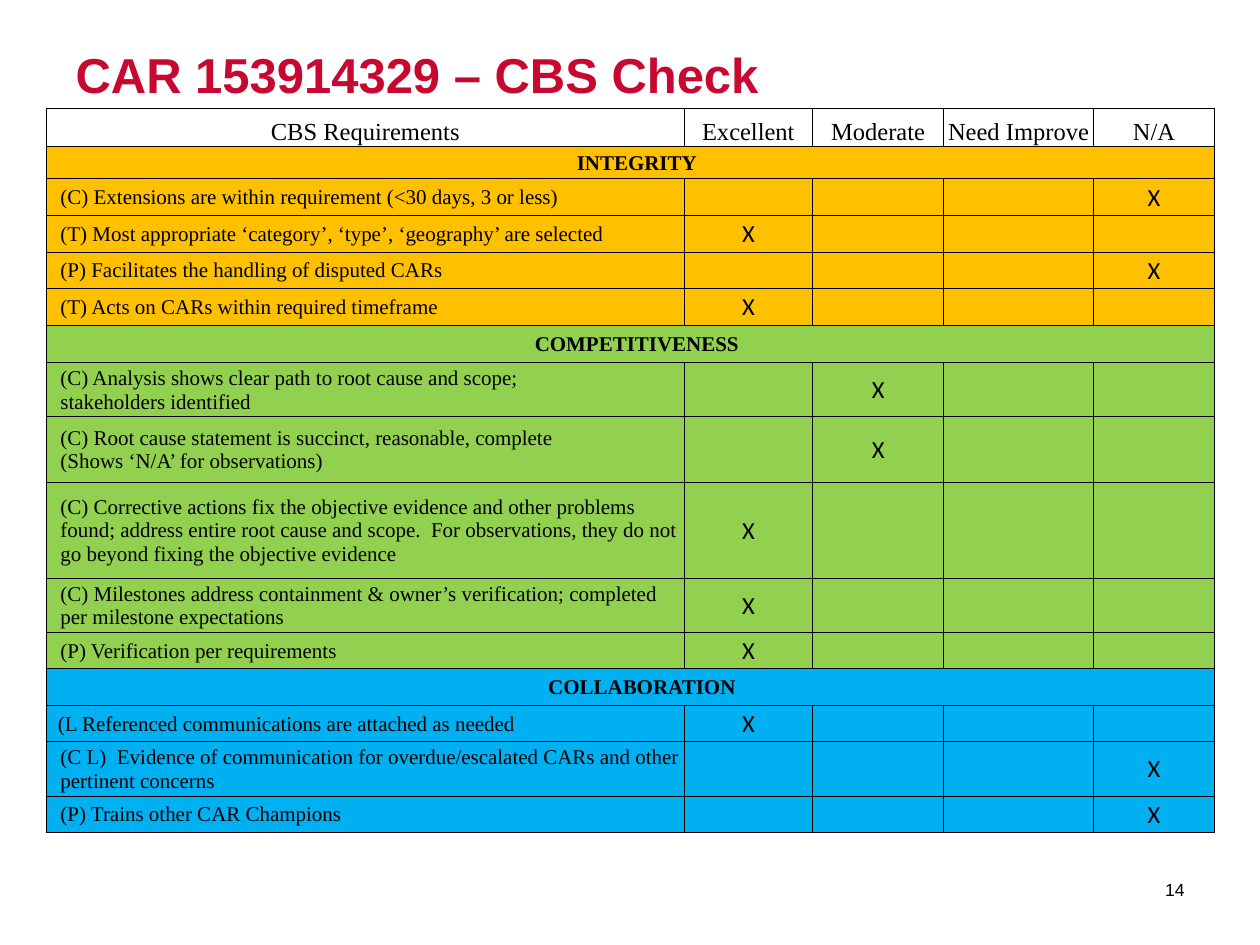
from dataclasses import dataclass

from lxml import etree
from pptx import Presentation
from pptx.dml.color import RGBColor
from pptx.enum.text import MSO_ANCHOR, MSO_AUTO_SIZE, PP_ALIGN
from pptx.oxml.ns import qn
from pptx.util import Inches, Pt

LEFT, CENTER, RIGHT = PP_ALIGN.LEFT, PP_ALIGN.CENTER, PP_ALIGN.RIGHT
TOP, MIDDLE, BOTTOM = MSO_ANCHOR.TOP, MSO_ANCHOR.MIDDLE, MSO_ANCHOR.BOTTOM
NO_FIT = MSO_AUTO_SIZE.NONE
TITLE_ONLY = 5


@dataclass(frozen=True)
class Theme:
    title: str = "C70932"
    ink: str = "000000"
    integrity: str = "FFC000"
    competitiveness: str = "92D050"
    collaboration: str = "00B0F0"
    sans: str = "Arial"
    serif: str = "Times New Roman"
    mark: str = "Calibri"
    title_size: int = 28
    heading_size: int = 14
    body_size: int = 12
    number_size: int = 10
    outer_line: float = 1
    inner_line: float = 0.5


THEME = Theme()
RATINGS = ["Excellent", "Moderate", "Need Improve", "N/A"]
COLUMN_WIDTHS = [5.06, 1.02, 1.04, 1.19, 0.96]
HEADER_HEIGHT, SINGLE_LINE = 0.3, 0.29
CELL_MARGIN, INDENT = 0.01, 0.1

# Each requirement: wording, rating, row height
SECTIONS = [
    ("INTEGRITY", THEME.integrity, 0.26, [
        ("(C) Extensions are within requirement (<30 days, 3 or less)", "N/A", SINGLE_LINE),
        ("(T) Most appropriate ‘category’, ‘type’, ‘geography’ are selected", "Excellent", SINGLE_LINE),
        ("(P) Facilitates the handling of disputed CARs", "N/A", SINGLE_LINE),
        ("(T) Acts on CARs within required timeframe", "Excellent", SINGLE_LINE),
    ]),
    ("COMPETITIVENESS", THEME.competitiveness, 0.3, [
        ("(C) Analysis shows clear path to root cause and scope;\nstakeholders identified",
         "Moderate", 0.43),
        ("(C) Root cause statement is succinct, reasonable, complete\n(Shows ‘N/A’ for observations)",
         "Moderate", 0.52),
        ("(C) Corrective actions fix the objective evidence and other problems found; "
         "address entire root cause and scope.  For observations, they do not go beyond "
         "fixing the objective evidence", "Excellent", 0.76),
        ("(C) Milestones address containment & owner’s verification; completed per "
         "milestone expectations", "Excellent", 0.43),
        ("(P) Verification per requirements", "Excellent", SINGLE_LINE),
    ]),
    ("COLLABORATION", THEME.collaboration, SINGLE_LINE, [
        ("(L Referenced communications are attached as needed", "Excellent", SINGLE_LINE),
        ("(C L)  Evidence of communication for overdue/escalated CARs and other pertinent concerns",
         "N/A", 0.43),
        ("(P) Trains other CAR Champions", "N/A", SINGLE_LINE),
    ]),
]


def write(frame, text, font, size, color=THEME.ink, bold=False, align=LEFT, indent=0):
    for number, line in enumerate(text.split("\n")):
        paragraph = frame.add_paragraph() if number else frame.paragraphs[0]
        paragraph.alignment = align
        if indent:
            properties = paragraph._p.get_or_add_pPr()
            properties.set("marL", str(Inches(indent)))
            properties.set("indent", "0")
        run = paragraph.add_run()
        run.text = line
        run.font.name, run.font.size, run.font.bold = font, Pt(size), bold
        run.font.color.rgb = RGBColor.from_string(color)


def add_border(cell, side, width):
    line = etree.SubElement(cell._tc.get_or_add_tcPr(), qn(f"a:ln{side}"), w=str(Pt(width)))
    fill = etree.SubElement(line, qn("a:solidFill"))
    etree.SubElement(fill, qn("a:srgbClr"), val=THEME.ink)


deck = Presentation()
deck.slide_width, deck.slide_height = Inches(10), Inches(7.5)
slide = deck.slides.add_slide(deck.slide_layouts[TITLE_ONLY])

title = slide.shapes.title
title.left, title.top, title.width, title.height = map(Inches, (0.5, 0.3, 9, 1.25))
title.text_frame.auto_size = NO_FIT
title.text_frame.vertical_anchor = TOP
write(title.text_frame, "CAR 153914329 – CBS Check", THEME.sans, THEME.title_size,
      THEME.title, bold=True)

page_number = slide.shapes.add_textbox(*map(Inches, (8.8, 6.86, 0.7, 0.4))).text_frame
page_number.word_wrap = True
page_number.vertical_anchor = MIDDLE
write(page_number, "14", THEME.sans, THEME.number_size, align=RIGHT)

# Flatten the sections into rows: wording, rating, height, fill
rows = [("CBS Requirements", None, HEADER_HEIGHT, None)]
section_rows = set()
for name, color, height, requirements in SECTIONS:
    section_rows.add(len(rows))
    rows.append((name, None, height, color))
    rows += [(*requirement, color) for requirement in requirements]

last_row, last_column = len(rows) - 1, len(RATINGS)
table = slide.shapes.add_table(
    len(rows), len(COLUMN_WIDTHS), Inches(0.37), Inches(0.86),
    Inches(sum(COLUMN_WIDTHS)), Inches(sum(row[2] for row in rows))).table
table.first_row = table.horz_banding = False
for column, width in zip(table.columns, COLUMN_WIDTHS):
    column.width = Inches(width)

for r, (wording, rating, height, color) in enumerate(rows):
    table.rows[r].height = Inches(height)
    for c in range(last_column + 1):
        cell = table.cell(r, c)
        cell.margin_left = cell.margin_right = cell.margin_top = Inches(CELL_MARGIN)
        cell.margin_bottom = 0
        cell.vertical_anchor = MIDDLE if r else BOTTOM
        outer_sides = {"L": c == 0, "R": c == last_column or r in section_rows,
                       "T": r == 0, "B": r == last_row}
        for side, outer in outer_sides.items():
            add_border(cell, side, THEME.outer_line if outer else THEME.inner_line)
        if color:
            cell.fill.solid()
            cell.fill.fore_color.rgb = RGBColor.from_string(color)
        else:
            cell.fill.background()

        if r == 0:
            write(cell.text_frame, [wording, *RATINGS][c], THEME.serif,
                  THEME.heading_size, align=CENTER)
        elif c == 0:
            heading = r in section_rows
            outdented = wording.startswith("(L ")
            if outdented or wording == "COLLABORATION":
                cell.margin_left = Inches(0.09)
            write(cell.text_frame, wording, THEME.serif, THEME.body_size, bold=heading,
                  align=CENTER if heading else LEFT, indent=0 if outdented else INDENT)
        elif rating == RATINGS[c - 1]:
            write(cell.text_frame, "X", THEME.mark, THEME.heading_size, align=CENTER)
        else:
            etree.SubElement(cell.text_frame.paragraphs[0]._p, qn("a:endParaRPr"),
                             sz=str(THEME.body_size * 100))
    if r in section_rows:
        table.cell(r, 0).merge(table.cell(r, last_column))

deck.save("out.pptx")
